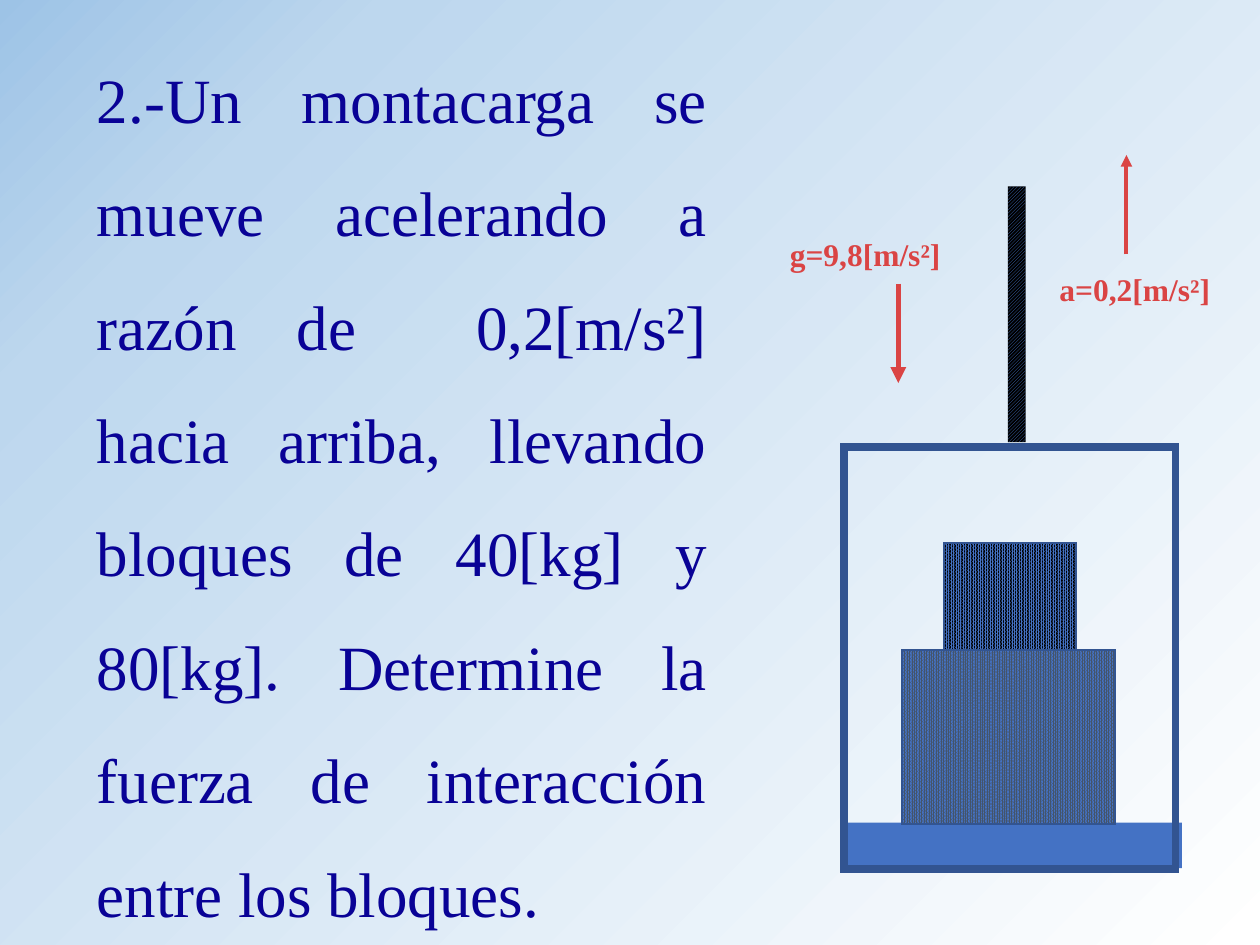
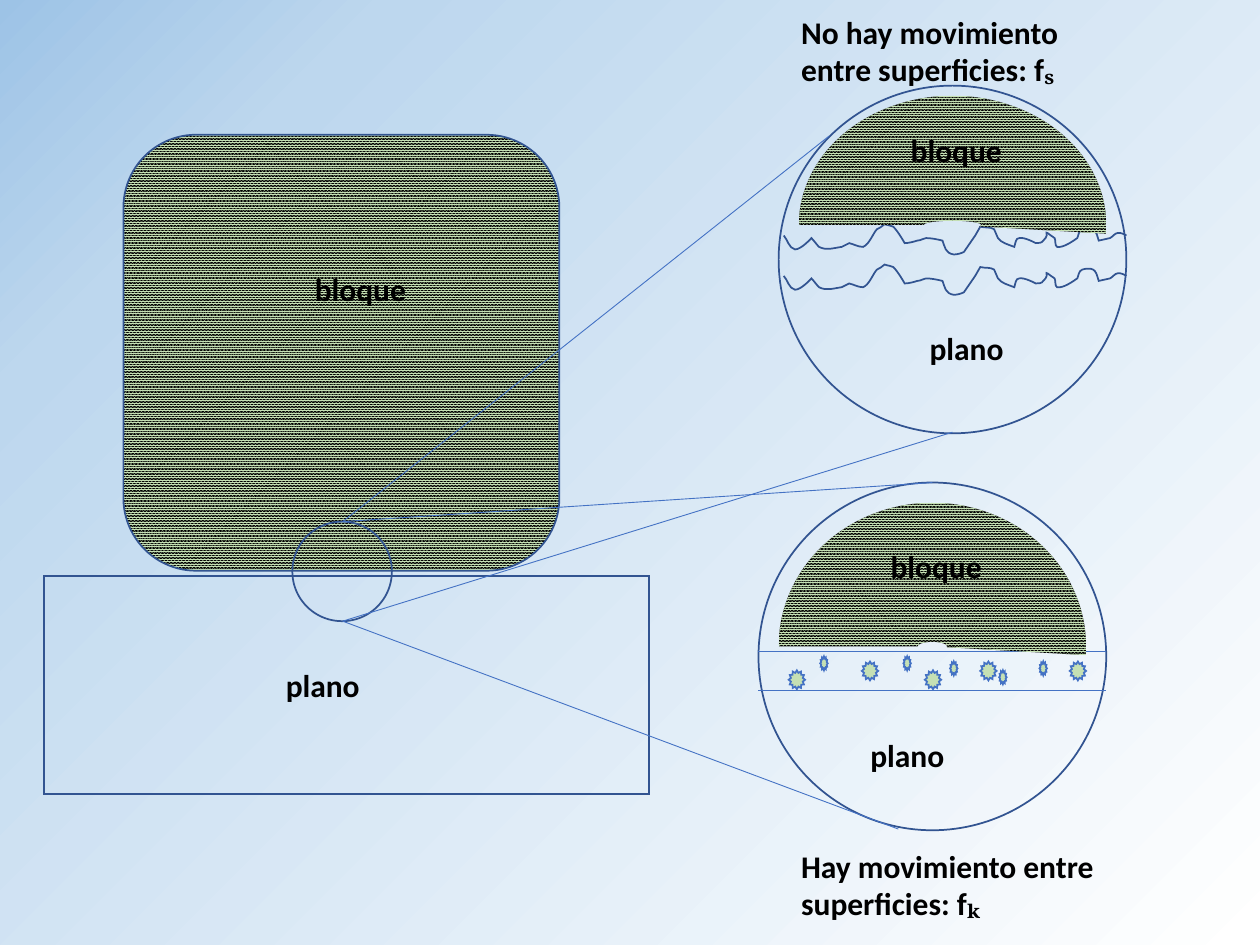
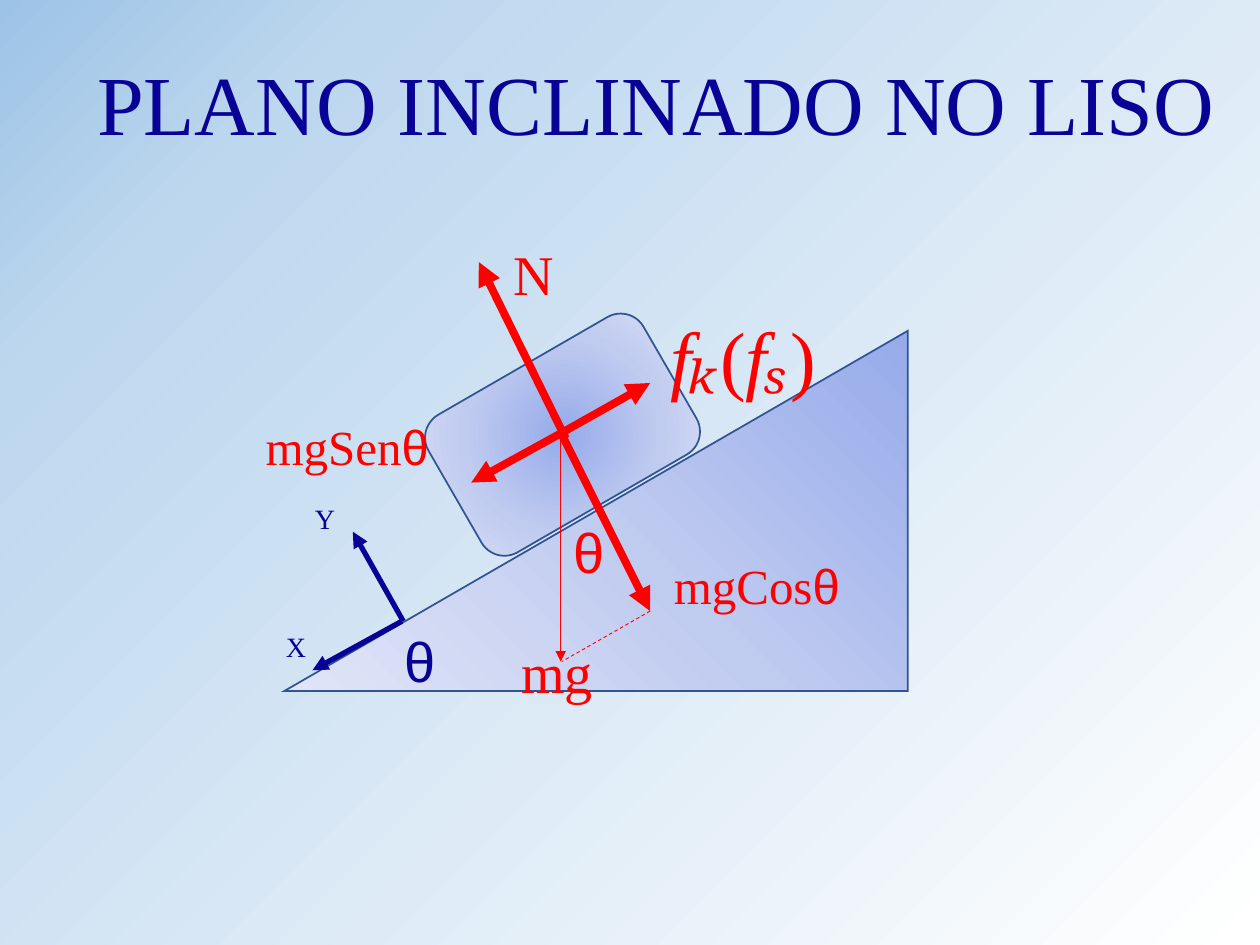
from lxml import etree
from pptx import Presentation
from pptx.dml.color import RGBColor
from pptx.enum.dml import MSO_LINE as Dash, MSO_PATTERN as Pattern
from pptx.enum.shapes import MSO_CONNECTOR as Connector, MSO_SHAPE as Shape
from pptx.enum.text import MSO_ANCHOR as Anchor, MSO_AUTO_SIZE as AutoSize, PP_ALIGN as Align
from pptx.oxml import parse_xml
from pptx.oxml.ns import nsdecls, qn
from pptx.util import Inches, Pt

COLORS = {
    "navy": "090296", "blue": "4472C4", "outline": "325491", "slate": "44546A",
    "black": "000000", "coral": "DA4444", "red": "FF0000", "green": "C5E0B4",
    "sky": "BDD7EE", "deep_sky": "9DC3E6", "white": "FFFFFF",
    "lilac_dark": "96ABEA", "lilac": "C0CBF0", "lilac_light": "E0E5F7",
}
SERIF, SANS, SYMBOL = "Times New Roman", "Calibri", "Arial"
BACKGROUND = [(0, "white"), (82, "sky"), (100, "deep_sky")]
LILAC = [(0, "lilac_dark"), (50, "lilac"), (100, "lilac_light")]
BLOCK_TEXTURE = (Pattern.PERCENT_90, "green", "black")
ROUGH_START = (6.22, 1.87)
ROUGH_EDGE = [
    (6.25, 1.9, 6.26, 1.97, 6.31, 1.98), (6.36, 1.98, 6.44, 1.89, 6.44, 1.89),
    (6.46, 1.91, 6.48, 1.94, 6.5, 1.96), (6.56, 1.99, 6.61, 1.97, 6.68, 1.96),
    (6.7, 1.95, 6.72, 1.94, 6.74, 1.93), (6.78, 1.94, 6.81, 1.96, 6.85, 1.96),
    (6.9, 1.94, 6.93, 1.85, 6.96, 1.82), (6.98, 1.81, 7, 1.8, 7.02, 1.78),
    (7.05, 1.79, 7.07, 1.79, 7.09, 1.8), (7.13, 1.84, 7.18, 1.93, 7.18, 1.93),
    (7.21, 1.93, 7.25, 1.92, 7.28, 1.91), (7.31, 1.91, 7.33, 1.89, 7.35, 1.89),
    (7.39, 1.89, 7.44, 1.9, 7.48, 1.91), (7.5, 1.96, 7.5, 2.01, 7.57, 2.02),
    (7.6, 2.02, 7.63, 2.01, 7.65, 2), (7.74, 1.87), (7.78, 1.8),
    (7.82, 1.81, 7.86, 1.8, 7.89, 1.82), (7.91, 1.84, 7.9, 1.87, 7.92, 1.89),
    (7.95, 1.93, 8, 1.94, 8.05, 1.96), (8.06, 1.93, 8.06, 1.89, 8.09, 1.89),
    (8.13, 1.88, 8.22, 1.93, 8.22, 1.93), (8.24, 1.93, 8.27, 1.93, 8.28, 1.91),
    (8.35, 1.85, 8.25, 1.81, 8.37, 1.89), (8.38, 1.91, 8.37, 1.95, 8.39, 1.96),
    (8.44, 1.97, 8.52, 1.91, 8.55, 1.89), (8.56, 1.87, 8.56, 1.83, 8.59, 1.82),
    (8.7, 1.79, 8.7, 1.85, 8.72, 1.91), (8.75, 1.9, 8.78, 1.9, 8.81, 1.89),
    (8.83, 1.88, 8.85, 1.85, 8.87, 1.85), (8.89, 1.84, 8.94, 1.87, 8.94, 1.87),
]


def rgb(name):
    return RGBColor.from_string(COLORS[name])


def gradient_xml(stops, direction):
    marks = "".join(
        f'<a:gs pos="{pos * 1000}"><a:srgbClr val="{COLORS[name]}"/></a:gs>'
        for pos, name in stops)
    return parse_xml(
        f'<a:gradFill {nsdecls("a")} rotWithShape="1">'
        f"<a:gsLst>{marks}</a:gsLst>{direction}</a:gradFill>")


def circular(left, top, right, bottom):
    return (f'<a:path path="circle"><a:fillToRect l="{left}000" t="{top}000" '
            f'r="{right}000" b="{bottom}000"/></a:path>')


def linear(degrees):
    return f'<a:lin ang="{degrees * 60000}" scaled="0"/>'


def set_gradient(fill, holder, stops, direction):
    fill.solid()
    solid = holder.find(qn("a:solidFill"))
    holder.replace(solid, gradient_xml(stops, direction))


def style_outline(shape, color, width):
    if color:
        shape.line.color.rgb = rgb(color)
        shape.line.width = Pt(width)
        outline = shape.element.spPr.find(qn("a:ln"))
        etree.SubElement(outline, qn("a:miter"), lim="800000")
    else:
        shape.line.fill.background()


def add_figure(slide, kind, box, fill=None, outline="outline", width=1, rotation=0):
    figure = slide.shapes.add_shape(kind, *map(Inches, box))
    figure.shadow.inherit = False
    figure.rotation = rotation
    if fill is None:
        figure.fill.background()
    elif isinstance(fill, str):
        figure.fill.solid()
        figure.fill.fore_color.rgb = rgb(fill)
    else:
        pattern, fore, back = fill
        figure.fill.patterned()
        figure.fill.pattern = pattern
        figure.fill.fore_color.rgb = rgb(fore)
        figure.fill.back_color.rgb = rgb(back)
    style_outline(figure, outline, width)
    return figure


def add_gradient_figure(slide, kind, box, rotation, direction):
    figure = add_figure(slide, kind, box, rotation=rotation)
    set_gradient(figure.fill, figure.element.spPr, LILAC, direction)


def add_line(slide, start, end, color="blue", width=0.5, arrow=False, dashed=False):
    line = slide.shapes.add_connector(
        Connector.STRAIGHT, *map(Inches, (*start, *end)))
    style_outline(line, color, width)
    if dashed:
        line.line.dash_style = Dash.DASH
    if arrow:
        outline = line.element.spPr.find(qn("a:ln"))
        etree.SubElement(outline, qn("a:tailEnd"), type="triangle")
    etree.SubElement(line.element.spPr, qn("a:effectLst"))


def add_runs(paragraph, runs, size, color, bold=False):
    for words, font_name, *italic in runs:
        run = paragraph.add_run()
        run.text = words
        run.font.name = font_name
        run.font.size = Pt(size)
        run.font.bold = bold
        run.font.italic = bool(italic)
        run.font.color.rgb = rgb(color)


def add_label(slide, box, runs, size, color, bold=False):
    label = slide.shapes.add_textbox(*map(Inches, box))
    label.text_frame.word_wrap = True
    label.text_frame.auto_size = AutoSize.SHAPE_TO_FIT_TEXT
    paragraph = label.text_frame.paragraphs[0]
    add_runs(paragraph, runs, size, color, bold)
    return paragraph


def add_title(slide, box, words, size):
    title = slide.shapes.title
    title.left, title.top, title.width, title.height = map(Inches, box)
    frame = title.text_frame
    frame.word_wrap = False
    frame.auto_size = AutoSize.SHAPE_TO_FIT_TEXT
    frame.vertical_anchor = Anchor.TOP
    frame.paragraphs[0].alignment = Align.LEFT
    add_runs(frame.paragraphs[0], [(words, SERIF)], size, "navy")


def add_rough_edge(slide, drop):
    def placed(x, y):
        return Inches(x), Inches(y + drop)

    builder = slide.shapes.build_freeform(*placed(*ROUGH_START))
    builder.add_line_segments(
        [placed(*segment[-2:]) for segment in ROUGH_EDGE], close=False)
    edge = builder.convert_to_shape()
    edge.shadow.inherit = False
    edge.fill.background()
    style_outline(edge, "outline", 1)

    straight_parts = list(edge.element.iter(qn("a:lnTo")))
    for part, segment in zip(straight_parts, ROUGH_EDGE):
        if len(segment) == 2:
            continue
        curve = etree.Element(qn("a:cubicBezTo"))
        for x, y in zip(segment[::2], segment[1::2]):
            x, y = placed(x, y)
            etree.SubElement(curve, qn("a:pt"), x=str(x - edge.left), y=str(y - edge.top))
        part.getparent().replace(part, curve)


def add_arc_block(slide, box):
    arc = add_figure(slide, Shape.BLOCK_ARC, box, BLOCK_TEXTURE, outline=None)
    for index, value in enumerate((108, 1.961, 0.484)):
        arc.adjustments[index] = value


def build_lift(slide):
    statement = add_label(slide, (0.67, 0.13, 5.04, 7.26), [(
        "2.-Un montacarga se mueve acelerando a razón de  0,2[m/s²] hacia arriba, "
        "llevando bloques de 40[kg] y 80[kg]. Determine la fuerza de interacción "
        "entre los bloques. ", SERIF)], 36, "navy")
    statement.alignment = Align.JUSTIFY
    statement.line_spacing = 1.5

    add_figure(slide, Shape.RECTANGLE, (6.69, 6.53, 2.69, 0.36), "blue", None)
    add_figure(slide, Shape.RECTANGLE, (8, 1.48, 0.14, 2.03),
               (Pattern.DARK_UPWARD_DIAGONAL, "blue", "black"), None)
    add_figure(slide, Shape.RECTANGLE, (7.49, 4.31, 1.05, 0.86),
               (Pattern.PERCENT_90, "blue", "black"))
    add_figure(slide, Shape.RECTANGLE, (7.16, 5.16, 1.69, 1.38),
               (Pattern.PERCENT_90, "slate", "blue"))
    add_figure(slide, Shape.RECTANGLE, (6.7, 3.55, 2.63, 3.35), width=4.5)

    add_line(slide, (8.94, 2.02), (8.94, 1.23), "coral", 2.25, arrow=True)
    add_line(slide, (7.13, 2.25), (7.13, 3.04), "coral", 3, arrow=True)
    for left, top, words in ((6.17, 1.82, "g=9,8[m/s²]"), (8.31, 2.09, "a=0,2[m/s²]")):
        add_label(slide, (left, top, 1.52, 0.4), [(words, SERIF)], 18, "coral", True)


def build_friction(slide):
    add_figure(slide, Shape.ROUNDED_RECTANGLE, (0.98, 1.07, 3.46, 3.46), BLOCK_TEXTURE)
    add_figure(slide, Shape.RECTANGLE, (0.35, 4.57, 4.8, 1.73))
    add_figure(slide, Shape.OVAL, (6.18, 0.68, 2.76, 2.76))
    for drop in (0, 0.32):
        add_rough_edge(slide, drop)
    add_figure(slide, Shape.OVAL, (6.02, 3.83, 2.76, 2.76))
    for height in (5.48, 5.17):
        add_line(slide, (6.02, height), (8.78, height))
    add_arc_block(slide, (6.34, 0.76, 2.44, 2.05))
    add_arc_block(slide, (6.18, 3.99, 2.44, 2.28))

    grains = {
        (0.06, 0.11): [(6.51, 5.21), (8.25, 5.25), (7.93, 5.32), (7.17, 5.21), (7.54, 5.25)],
        (0.13, 0.15): [(6.84, 5.25), (7.78, 5.25), (6.26, 5.32), (7.34, 5.32), (8.49, 5.25)],
    }
    for size, places in grains.items():
        for place in places:
            add_figure(slide, Shape.STAR_12_POINT, place + size, "green", "blue")
    add_figure(slide, Shape.OVAL, (2.32, 4.14, 0.79, 0.79))

    names = {
        "bloque": [(2.4, 2.09), (6.97, 4.29), (7.13, 0.99)],
        "plano": [(6.81, 5.79), (7.28, 2.56), (2.17, 5.24)],
    }
    for name, places in names.items():
        for place in places:
            add_label(slide, (*place, 1.1, 0.4), [(name, SANS)], 18, "black", True)
    for top, words, subscript in (
            (0.05, "No hay movimiento entre superficies: f", "ₛ"),
            (6.67, "Hay movimiento entre superficies: f", "ₖ")):
        add_label(slide, (6.26, top, 2.76, 0.71),
                  [(words, SANS), (subscript, SERIF)], 18, "black", True)

    lens_top, lens_bottom = (2.72, 4.14), (2.72, 4.93)
    for start, end in ((lens_top, (6.58, 1.08)), (lens_bottom, (7.56, 3.43)),
                       (lens_top, (7.4, 3.83)), (lens_bottom, (7.13, 6.58))):
        add_line(slide, start, end)


def build_incline(slide):
    add_title(slide, (0.67, 0.36, 9.16, 0.91), "PLANO INCLINADO NO LISO", 48)
    add_gradient_figure(slide, Shape.ROUNDED_RECTANGLE, (3.48, 2.82, 1.97, 1.26),
                        330, circular(50, 50, 50, 50))
    add_gradient_figure(slide, Shape.RIGHT_TRIANGLE, (3.3, 1.58, 2.86, 4.95),
                        270, linear(225))

    center = (4.45, 3.44)
    vectors = [
        (center, (4.45, 5.25), "red", 0.5),
        ((4.46, 3.45), (5.16, 4.85), "red", 4.5),
        ((4.49, 3.48), (3.8, 2.08), "red", 4.5),
        (center, (3.74, 3.83), "red", 4.5),
        (center, (5.16, 3.04), "red", 4.5),
        ((3.19, 4.93), (2.48, 5.32), "navy", 3),
        ((3.2, 4.93), (2.8, 4.22), "navy", 3),
    ]
    for start, end, color, width in vectors:
        add_line(slide, start, end, color, width, arrow=True)
    add_line(slide, (5.16, 4.85), (4.46, 5.25), "red", dashed=True)

    labels = [
        ((3.11, 4.92, 0.78, 0.65), [("θ", SYMBOL)], 32, "navy"),
        ((4.45, 4.06, 0.8, 0.64), [("θ", SYMBOL)], 32, "red"),
        ((2.4, 3.93, 0.51, 0.37), [("Y", SERIF)], 16, "navy"),
        ((5.25, 4.36, 1.95, 0.57), [("mgCos", SERIF), ("θ", SYMBOL)], 28, "red"),
        ((3.98, 1.85, 0.54, 0.64), [("N", SERIF)], 32, "red"),
        ((4.04, 5.01, 0.96, 0.64), [("mg", SERIF)], 32, "red"),
        ((2.17, 4.95, 0.51, 0.37), [("X", SERIF)], 16, "navy"),
        ((2.01, 3.26, 1.95, 0.57), [("mgSen", SERIF), ("θ", SYMBOL)], 28, "red"),
        ((5.22, 2.41, 1.45, 0.84), [("fₖ", SERIF, True), ("(", SERIF),
                                    ("fₛ", SERIF, True), (")", SERIF)], 44, "red"),
    ]
    for box, runs, size, color in labels:
        add_label(slide, box, runs, size, color)


def main():
    deck = Presentation()
    deck.slide_width, deck.slide_height = Inches(10), Inches(7.5)
    master = deck.slide_master
    backdrop = master.background.fill
    set_gradient(backdrop, master.element.find(f".//{qn('p:bgPr')}"),
                 BACKGROUND, circular(100, 100, 0, 0))
    title_only, blank = deck.slide_layouts[5], deck.slide_layouts[6]
    for layout, build in ((blank, build_lift), (blank, build_friction),
                          (title_only, build_incline)):
        build(deck.slides.add_slide(layout))
    deck.save("out.pptx")


if __name__ == "__main__":
    main()
